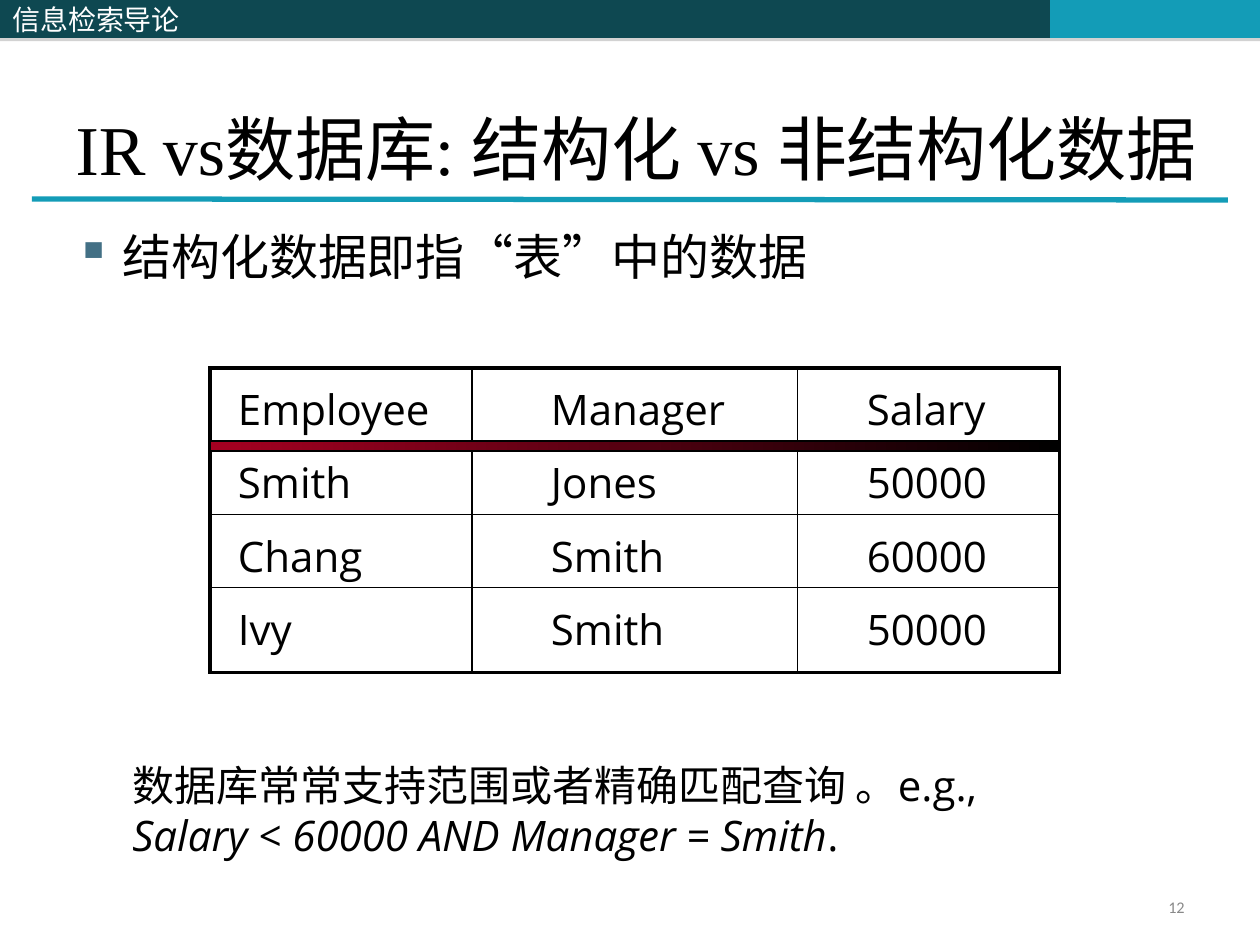
from lxml.etree import SubElement
from pptx import Presentation
from pptx.dml.color import RGBColor
from pptx.enum.shapes import MSO_CONNECTOR, MSO_SHAPE
from pptx.enum.text import MSO_ANCHOR, MSO_AUTO_SIZE, PP_ALIGN
from pptx.oxml import parse_xml
from pptx.oxml.ns import nsdecls, qn
from pptx.util import Emu, Pt

COLORS = {
    "black": "000000", "white": "FFFFFF", "dark_teal": "0E4851",
    "teal": "139CB7", "bullet": "437085", "gray": "898989",
    "shadow": "808080", "crimson": "A50021",
}
SERIF, SANS, CJK, NUMERAL = "Times New Roman", "Open Sans", "Noto Sans CJK SC", "Calibri"
TABLE_LEFT, TABLE_TOP = 210, 368
COLUMN_WIDTHS, ROW_HEIGHTS = [262, 326, 262], [73, 74, 73, 85]
COLUMN_INDENTS, CELL_TOP = [28, 79, 69], 13
EMPLOYEES = [
    ["Employee", "Manager", "Salary"],
    ["Smith", "Jones", "50000"],
    ["Chang", "Smith", "60000"],
    ["Ivy", "Smith", "50000"],
]


def px(length):
    """Turn pixels at 126 to the inch into EMU."""
    return Emu(round(length * 914400 / 126))


def rgb(name):
    """Look up a named colour."""
    return RGBColor.from_string(COLORS[name])


def style(paragraph, font, size, color="black"):
    """Format every run of a paragraph, with one typeface for CJK text."""
    for run in paragraph.runs:
        run.font.name, run.font.size = font, Pt(size)
        run.font.color.rgb = rgb(color)
        SubElement(run.font._element, qn("a:ea"), typeface=CJK)


def add_text(slide, box, text, font, size, color="black",
             anchor=MSO_ANCHOR.MIDDLE, wrap=True):
    """Add a text box and return its text frame."""
    frame = slide.shapes.add_textbox(*map(px, box)).text_frame
    frame.word_wrap, frame.vertical_anchor = wrap, anchor
    frame.text = text
    for paragraph in frame.paragraphs:
        style(paragraph, font, size, color)
    return frame


def add_bar(slide, left, width, color):
    """Add one shadowed section of the header band."""
    bar = slide.shapes.add_shape(MSO_SHAPE.RECTANGLE, px(left), 0, px(width), px(38))
    bar.fill.solid()
    bar.fill.fore_color.rgb = rgb(color)
    bar.line.fill.background()
    bar.shadow.inherit = False
    bar._element.spPr.find(qn("a:effectLst")).append(parse_xml(
        f'<a:outerShdw {nsdecls("a")} dist="22860" dir="5400000" rotWithShape="0">'
        f'<a:srgbClr val="{COLORS["shadow"]}"><a:alpha val="35000"/></a:srgbClr>'
        '</a:outerShdw>'))
    return bar


def add_header(slide):
    """Add the header band with the course name."""
    add_bar(slide, 514, 536, "dark_teal")
    add_bar(slide, 1050, 210, "teal")
    course = add_bar(slide, 0, 514, "dark_teal").text_frame
    course.vertical_anchor = MSO_ANCHOR.MIDDLE
    course.text = "信息检索导论"
    course.paragraphs[0].alignment = PP_ALIGN.LEFT
    style(course.paragraphs[0], CJK, 16, "white")


def add_title(slide, text):
    """Place the title and the rule under it."""
    title = slide.shapes.title
    title.left, title.top, title.width, title.height = map(px, (63, 38, 1197, 158))
    frame = title.text_frame
    frame.text = text
    frame.auto_size, frame.vertical_anchor = MSO_AUTO_SIZE.NONE, MSO_ANCHOR.BOTTOM
    frame.paragraphs[0].alignment = PP_ALIGN.LEFT
    style(frame.paragraphs[0], SERIF, 40)
    rule = slide.shapes.add_connector(
        MSO_CONNECTOR.STRAIGHT, px(32), px(199), px(1228), px(200))
    rule.line.color.rgb, rule.line.width = rgb("teal"), Pt(3)
    SubElement(rule._element.spPr, qn("a:effectLst"))


def add_bullet(slide, text):
    """Add the bulleted statement."""
    frame = add_text(slide, (63, 220, 1134, 683), text, SERIF, 28, anchor=MSO_ANCHOR.TOP)
    properties = frame.paragraphs[0]._p.get_or_add_pPr()
    properties.set("marL", str(px(47)))
    properties.set("indent", str(-px(47)))
    color = SubElement(properties, qn("a:buClr"))
    SubElement(color, qn("a:srgbClr"), val=COLORS["bullet"])
    SubElement(properties, qn("a:buChar"), char="▪")


def set_borders(cell, outer_sides):
    """Draw the cell borders, heavier on the outside of the table."""
    properties = cell._tc.get_or_add_tcPr()
    for position, side in enumerate(("L", "R", "T", "B")):
        width = Pt(2 if side in outer_sides else 0.75)
        properties.insert(position, parse_xml(
            f'<a:ln{side} {nsdecls("a")} w="{width}"><a:solidFill>'
            f'<a:srgbClr val="{COLORS["black"]}"/></a:solidFill></a:ln{side}>'))


def add_employee_table(slide):
    """Add the employee table."""
    table = slide.shapes.add_table(
        len(ROW_HEIGHTS), len(COLUMN_WIDTHS), px(TABLE_LEFT), px(TABLE_TOP),
        px(sum(COLUMN_WIDTHS)), px(sum(ROW_HEIGHTS))).table
    table.first_row = table.horz_banding = False
    for column, width in zip(table.columns, COLUMN_WIDTHS):
        column.width = px(width)
    for row, height in zip(table.rows, ROW_HEIGHTS):
        row.height = px(height)
    for row_index, record in enumerate(EMPLOYEES):
        for column_index, value in enumerate(record):
            cell = table.cell(row_index, column_index)
            cell.text = value
            cell.fill.background()
            cell.margin_left = px(COLUMN_INDENTS[column_index])
            cell.margin_top = px(CELL_TOP)
            cell.margin_right = cell.margin_bottom = 0
            style(cell.text_frame.paragraphs[0], SANS, 24)
            edges = {"L": column_index == 0, "R": column_index == len(record) - 1,
                     "T": row_index == 0, "B": row_index == len(EMPLOYEES) - 1}
            set_borders(cell, [side for side, outer in edges.items() if outer])


def add_header_rule(slide):
    """Add the gradient bar under the table header."""
    bar = slide.shapes.add_shape(
        MSO_SHAPE.RECTANGLE, px(TABLE_LEFT), px(TABLE_TOP + ROW_HEIGHTS[0]),
        px(sum(COLUMN_WIDTHS)), px(10))
    bar.shadow.inherit = False
    bar.fill.gradient()
    bar.fill.gradient_angle = 0
    for stop, color in zip(bar.fill.gradient_stops, ("crimson", "black")):
        stop.color.rgb = rgb(color)
    bar.line.color.rgb, bar.line.width = rgb("black"), Pt(0.75)


def add_query_note(slide):
    """Add the remark on queries with its italic example."""
    frame = add_text(
        slide, (120, 753, 886, 114),
        "数据库常常支持范围或者精确匹配查询 。e.g.,\nSalary < 60000 AND Manager = Smith",
        SANS, 24, wrap=False)
    example = frame.paragraphs[1]
    example.add_run().text = "."
    style(example, SANS, 24)
    example.runs[0].font.italic = True


def add_page_number(slide, number):
    """Add the page number."""
    frame = add_text(slide, (903, 892, 294, 34), number, NUMERAL, 9.3, "gray")
    frame.paragraphs[0].alignment = PP_ALIGN.RIGHT
    frame.paragraphs[0].line_spacing = 0.8


def main():
    """Build and save the slide."""
    deck = Presentation()
    deck.slide_width, deck.slide_height = px(1260), px(945)
    slide = deck.slides.add_slide(deck.slide_layouts[5])
    add_header(slide)
    add_title(slide, "IR vs数据库: 结构化 vs 非结构化数据")
    add_bullet(slide, "结构化数据即指“表”中的数据")
    add_page_number(slide, "12")
    add_employee_table(slide)
    add_header_rule(slide)
    add_query_note(slide)
    deck.save("out.pptx")


if __name__ == "__main__":
    main()
